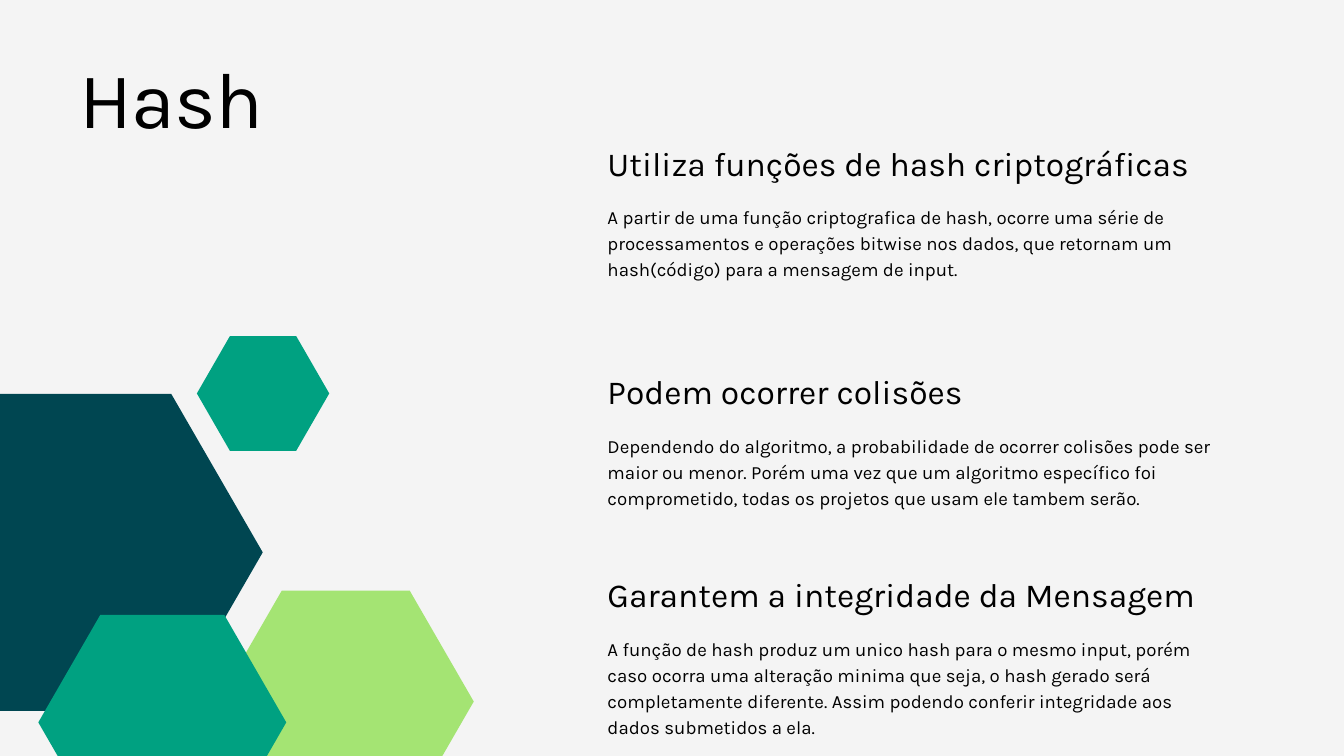
from pptx import Presentation
from pptx.dml.color import RGBColor
from pptx.enum.shapes import MSO_SHAPE
from pptx.enum.text import MSO_ANCHOR, MSO_AUTO_SIZE, PP_ALIGN
from pptx.util import Inches, Pt

HEXAGON = MSO_SHAPE.HEXAGON
TOP = MSO_ANCHOR.TOP
GROW = MSO_AUTO_SIZE.SHAPE_TO_FIT_TEXT
LEFT = PP_ALIGN.LEFT
TITLE_ONLY = 5
COLUMNS, ROWS = 20, 11.25
COLORS = {"paper": "F4F4F4", "ink": "000000", "petrol": "004651",
          "lime": "A4E473", "green": "00A181"}
SECTION_COLUMN, SECTION_WIDTH = 9.04, 9.05
HEADING_HEIGHT, BODY_OFFSET = 0.6, 0.89

SECTIONS = [
    (2.12, 1.14, "Utiliza funções de hash criptográficas",
     "A partir de uma função criptografica de hash, ocorre uma série de "
     "processamentos e operações bitwise nos dados, que retornam um "
     "hash(código) para a mensagem de input."),
    (5.52, 1.14, "Podem ocorrer colisões",
     "Dependendo do algoritmo, a probabilidade de ocorrer colisões pode ser "
     "maior ou menor. Porém uma vez que um algoritmo específico foi "
     "comprometido, todas os projetos que usam ele tambem serão."),
    (8.54, 1.53, "Garantem a integridade da Mensagem",
     "A função de hash produz um unico hash para o mesmo input, porém caso "
     "ocorra uma alteração minima que seja, o hash gerado será completamente "
     "diferente. Assim podendo conferir integridade aos dados submetidos a ela."),
]
HEXAGONS = [
    (-1.54, 5.86, 5.45, 4.72, "petrol"),
    (3.24, 8.79, 3.81, 3.3, "lime"),
    (2.93, 5, 1.97, 1.71, "green"),
    (0.57, 9.15, 3.69, 3.2, "green"),
]


def write(frame, text, size=20, leading=28, color="ink", font="Karla", spacing=0):
    """Fill a text frame with one formatted paragraph."""
    frame.margin_left = frame.margin_right = 0
    frame.margin_top = frame.margin_bottom = 0
    frame.word_wrap = True
    frame.vertical_anchor = TOP
    frame.auto_size = GROW
    paragraph = frame.paragraphs[0]
    paragraph.alignment = LEFT
    paragraph.line_spacing = Pt(leading)
    run = paragraph.add_run()
    run.text = text
    run.font.size = Pt(size)
    run.font.name = font
    run.font.color.rgb = RGBColor.from_string(COLORS[color])
    if spacing:
        run.font._element.set("spc", str(round(spacing * 100)))


class Deck:
    """Hold the style and the current slide."""

    def __init__(self):
        """Start a deck with one title-only slide."""
        self.deck = Presentation()
        self.deck.slide_width = Inches(20)
        self.deck.slide_height = Inches(11.25)
        self.slide = self.deck.slides.add_slide(self.deck.slide_layouts[TITLE_ONLY])
        background = self.slide.background.fill
        background.solid()
        background.fore_color.rgb = RGBColor.from_string(COLORS["paper"])

    def cells(self, column, row, width, height):
        """Turn columns and rows into slide lengths."""
        column_width = self.deck.slide_width / COLUMNS
        row_height = self.deck.slide_height / ROWS
        return (round(column * column_width), round(row * row_height),
                round(width * column_width), round(height * row_height))

    def title(self, text, *box, **style):
        """Place and fill the title placeholder."""
        title = self.slide.shapes.title
        title.left, title.top, title.width, title.height = self.cells(*box)
        write(title.text_frame, text, **style)

    def text(self, text, *box, **style):
        """Add a text box."""
        write(self.slide.shapes.add_textbox(*self.cells(*box)).text_frame, text, **style)

    def hexagon(self, column, row, width, height, color):
        """Add a plain regular hexagon."""
        hexagon = self.slide.shapes.add_shape(
            HEXAGON, *self.cells(column, row, width, height))
        hexagon.adjustments[0] = width / 4 / height
        hexagon.shadow.inherit = False
        hexagon.fill.solid()
        hexagon.fill.fore_color.rgb = RGBColor.from_string(COLORS[color])
        hexagon.line.fill.background()

    def section(self, row, body_height, heading, body):
        """Add a heading with its explanation below."""
        self.text(heading, SECTION_COLUMN, row, SECTION_WIDTH, HEADING_HEIGHT,
                  size=36, leading=43.2)
        self.text(body, SECTION_COLUMN, row + BODY_OFFSET, SECTION_WIDTH, body_height)


def main():
    """Build the slide about hashes."""
    deck = Deck()
    deck.title("Hash", 1.18, 0.62, 7.92, 1.51, size=85, leading=110.5, spacing=-0.8)
    for section in SECTIONS:
        deck.section(*section)
    for hexagon in HEXAGONS:
        deck.hexagon(*hexagon)
    deck.deck.save("out.pptx")


if __name__ == "__main__":
    main()
